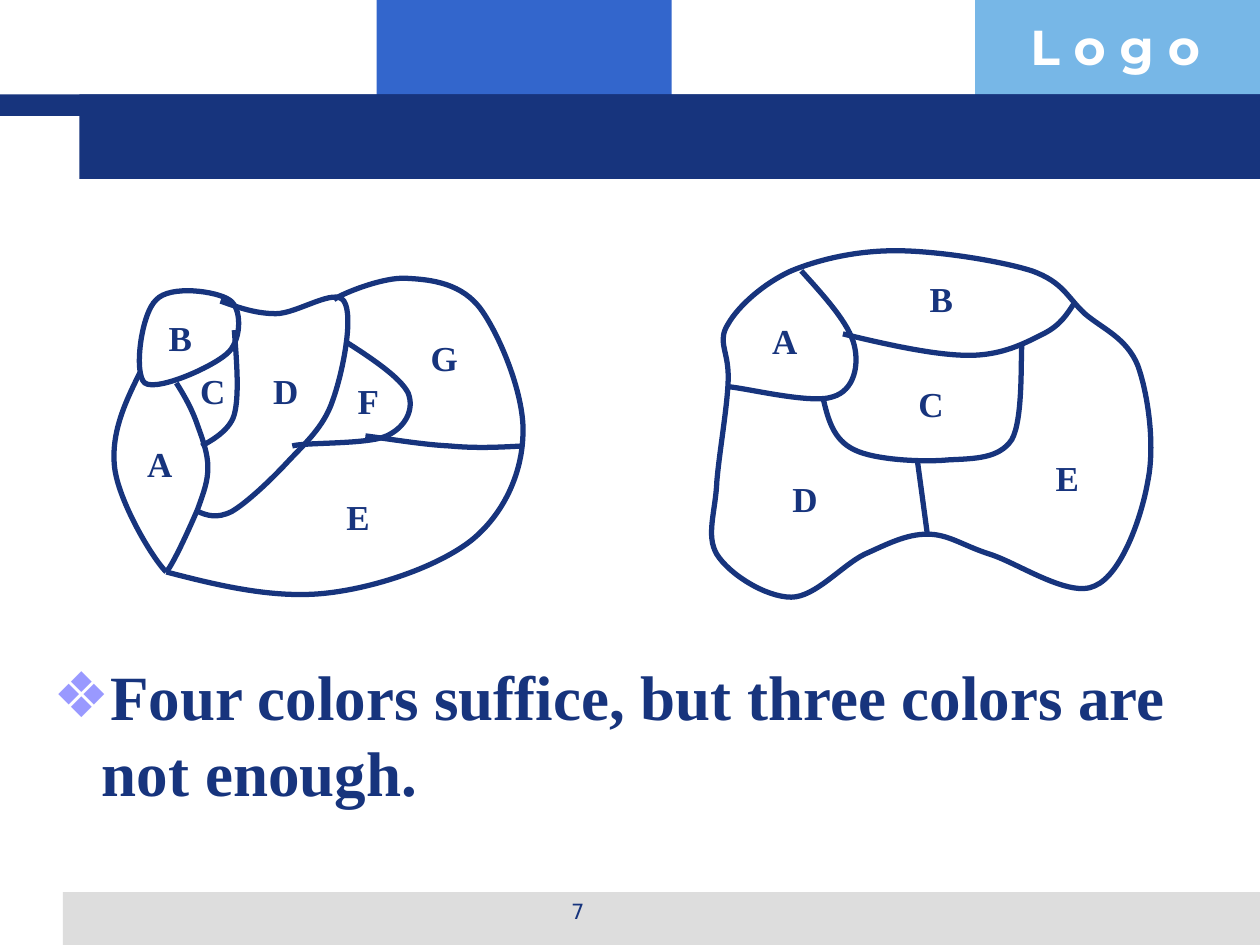
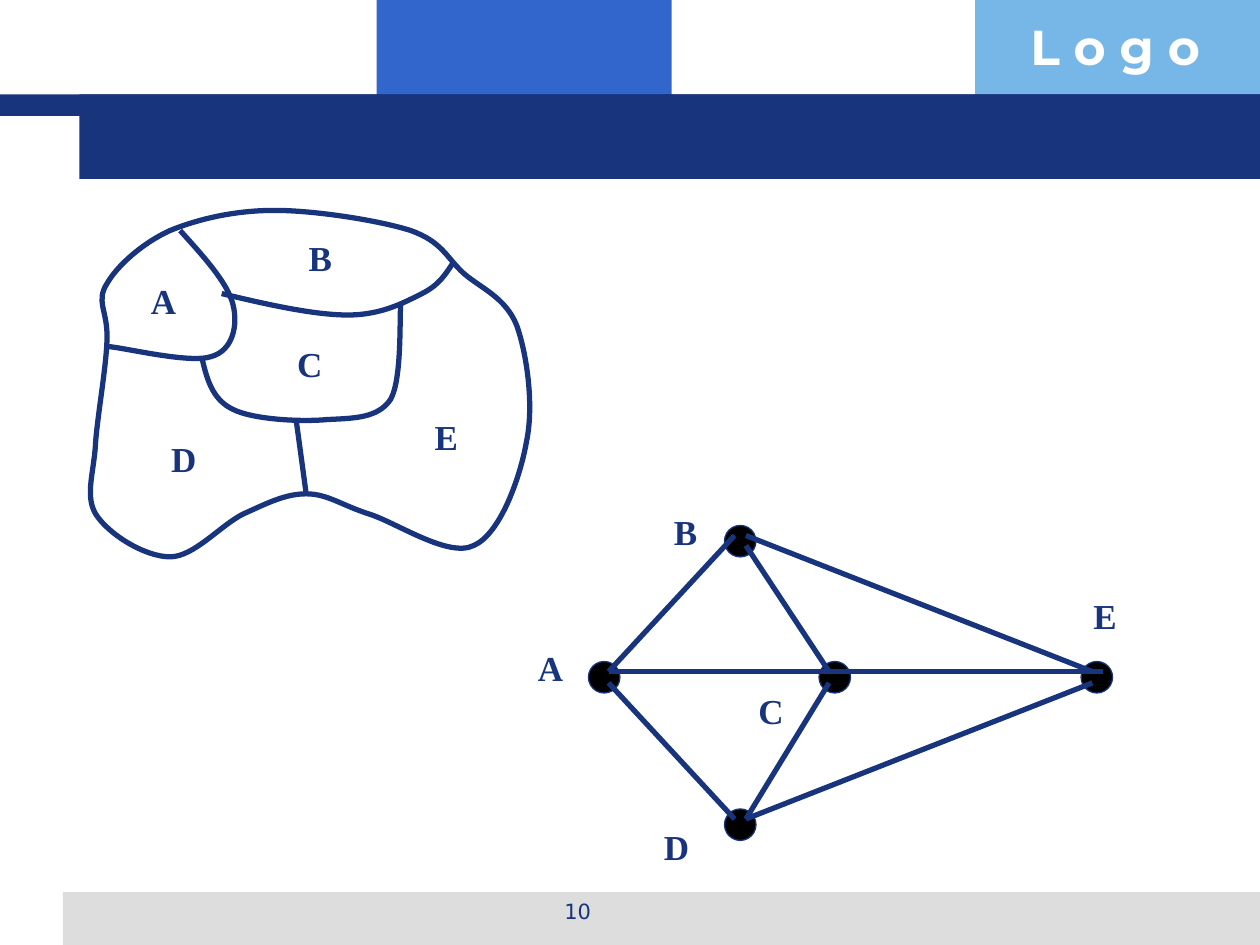
from lxml import etree
from pptx import Presentation
from pptx.dml.color import RGBColor
from pptx.enum.shapes import MSO_CONNECTOR, MSO_SHAPE
from pptx.enum.text import MSO_AUTO_SIZE, PP_ALIGN
from pptx.oxml.ns import qn
from pptx.util import Inches, Pt

RECT, OVAL = MSO_SHAPE.RECTANGLE, MSO_SHAPE.OVAL
LINE = MSO_CONNECTOR.STRAIGHT
GROW, FIXED = MSO_AUTO_SIZE.SHAPE_TO_FIT_TEXT, MSO_AUTO_SIZE.NONE
LEFT, CENTER = PP_ALIGN.LEFT, PP_ALIGN.CENTER

NAVY, BLUE, SKY, GRAY = "17347D", "3366CC", "77B7E7", "DDDDDD"
WHITE, BLACK, LILAC = "FFFFFF", "000000", "9999FF"
SERIF, SANS, BRAND = "Times New Roman", "DejaVu Sans", "Montserrat"

BANDS = [
    (2.99, 0, 2.34, 0.92, BLUE),
    (7.74, 0, 2.26, 0.92, SKY),
    (0.5, 7.08, 9.5, 0.42, GRAY),
    (0, 0.75, 10, 0.17, NAVY),
    (0.63, 0.75, 9.37, 0.67, NAVY),
]

# Borders: a start point, then two controls and an end for each curve
SEVEN = [
    [(1.15, 3.04), (1.06, 2.97), (1.12, 2.49), (1.24, 2.38),
     (1.35, 2.26), (1.72, 2.31), (1.82, 2.38),
     (1.92, 2.44), (1.92, 2.68), (1.82, 2.79),
     (1.72, 2.9), (1.25, 3.11), (1.15, 3.04)],
    [(1.75, 2.39), (1.89, 2.44), (2.03, 2.49), (2.19, 2.49),
     (2.36, 2.49), (2.66, 2.28), (2.73, 2.39),
     (2.81, 2.51), (2.72, 2.96), (2.64, 3.18),
     (2.57, 3.39), (2.42, 3.52), (2.28, 3.67),
     (2.15, 3.81), (1.96, 3.99), (1.84, 4.06),
     (1.72, 4.12), (1.64, 4.09), (1.57, 4.06)],
    [(1.86, 2.62), (1.88, 2.88), (1.9, 3.14), (1.86, 3.29),
     (1.82, 3.44), (1.61, 3.53), (1.6, 3.54)],
    [(1.4, 3.04), (1.47, 3.15), (1.53, 3.26), (1.57, 3.38),
     (1.61, 3.49), (1.65, 3.6), (1.65, 3.71),
     (1.65, 3.82), (1.62, 3.9), (1.57, 4.04),
     (1.51, 4.18), (1.38, 4.47), (1.32, 4.54)],
    [(1.11, 2.96), (0.99, 3.2), (0.88, 3.44), (0.91, 3.71),
     (0.94, 3.97), (1.2, 4.42), (1.32, 4.54)],
    [(1.32, 4.54), (1.74, 4.65), (2.17, 4.75), (2.57, 4.71),
     (2.97, 4.67), (3.47, 4.5), (3.74, 4.29),
     (4, 4.08), (4.14, 3.76), (4.15, 3.46),
     (4.17, 3.15), (3.97, 2.67), (3.82, 2.46),
     (3.67, 2.25), (3.43, 2.22), (3.24, 2.21),
     (3.04, 2.19), (2.67, 2.35), (2.65, 2.38)],
    [(2.74, 2.71), (2.96, 2.85), (3.18, 3), (3.24, 3.12),
     (3.29, 3.25), (3.22, 3.39), (3.07, 3.46),
     (2.92, 3.53), (2.42, 3.51), (2.32, 3.54)],
    [(2.9, 3.46), (3.13, 3.49), (3.36, 3.53), (3.57, 3.54),
     (3.78, 3.56), (3.97, 3.55), (4.15, 3.54)],
]
SEVEN_TAGS = {"A": (1.07, 3.46), "B": (1.24, 2.46), "C": (1.49, 2.88),
              "D": (2.07, 2.88), "F": (2.74, 2.96), "G": (3.32, 2.62),
              "E": (2.65, 3.88)}

FIVE = [
    [(5.78, 2.57), (5.86, 2.43), (6.06, 2.25), (6.28, 2.15),
     (6.5, 2.06), (6.79, 1.99), (7.11, 1.99),
     (7.43, 1.99), (7.94, 2.07), (8.19, 2.15),
     (8.44, 2.24), (8.47, 2.36), (8.61, 2.49),
     (8.75, 2.61), (8.94, 2.68), (9.03, 2.9),
     (9.11, 3.12), (9.17, 3.53), (9.11, 3.82),
     (9.06, 4.11), (8.9, 4.56), (8.69, 4.65),
     (8.49, 4.75), (8.08, 4.47), (7.86, 4.4),
     (7.64, 4.33), (7.53, 4.24), (7.36, 4.24),
     (7.19, 4.24), (7.04, 4.32), (6.86, 4.4),
     (6.68, 4.49), (6.47, 4.74), (6.28, 4.74),
     (6.08, 4.74), (5.79, 4.56), (5.69, 4.4),
     (5.6, 4.25), (5.68, 4.06), (5.69, 3.82),
     (5.71, 3.58), (5.78, 3.19), (5.78, 2.99),
     (5.78, 2.78), (5.69, 2.71), (5.78, 2.57)],
    [(6.36, 2.15), (6.55, 2.36), (6.74, 2.57), (6.78, 2.74),
     (6.82, 2.9), (6.78, 3.1), (6.61, 3.15),
     (6.44, 3.21), (5.92, 3.08), (5.78, 3.07)],
    [(6.53, 3.15), (6.57, 3.32), (6.61, 3.49), (6.78, 3.57),
     (6.94, 3.65), (7.32, 3.67), (7.53, 3.65),
     (7.74, 3.64), (7.93, 3.64), (8.03, 3.49),
     (8.12, 3.33), (8.1, 2.86), (8.11, 2.74)],
    [(6.69, 2.65), (7.06, 2.74), (7.43, 2.82), (7.69, 2.82),
     (7.96, 2.82), (8.14, 2.72), (8.28, 2.65),
     (8.42, 2.58), (8.47, 2.49), (8.53, 2.4)],
    [(7.28, 3.65), (7.28, 3.65), (7.32, 3.94), (7.36, 4.24)],
]
FIVE_TAGS = {"A": (6.03, 2.49), "B": (7.28, 2.15), "C": (7.19, 2.99),
             "D": (6.19, 3.74), "E": (8.28, 3.57)}

# Graph: one node for each region, one edge for each shared border
NODES = [(5.75, 4.17), (4.67, 5.25), (6.5, 5.25), (5.75, 6.42), (8.58, 5.25)]
EDGES = [
    ((6.58, 5.33), (5.92, 4.33)),
    ((8.67, 5.33), (5.92, 4.25)),
    ((4.83, 5.33), (5.83, 4.25)),
    ((5.83, 6.5), (4.83, 5.42)),
    ((8.67, 5.42), (5.92, 6.5)),
    ((5.92, 6.5), (6.58, 5.42)),
    ((8.75, 5.33), (4.83, 5.33)),
]
GRAPH_TAGS = {"A": (4.17, 5.08), "C": (5.92, 5.42), "B": (5.25, 4),
              "E": (8.58, 4.67), "D": (5.17, 6.5)}
WIDTHS = {"B": 0.39, "E": 0.39, "F": 0.37, "G": 0.42}


def color(code):
    return RGBColor.from_string(code)


def bend(item):
    """Turn every three line segments of a freeform into one cubic curve."""
    lines = list(item._element.iter(qn("a:lnTo")))
    for first, second, third in zip(lines[::3], lines[1::3], lines[2::3]):
        first.tag = qn("a:cubicBezTo")
        for extra in (second, third):
            first.append(extra[0])
            extra.getparent().remove(extra)


class Deck:
    def __init__(self):
        self.prs = Presentation()
        self.prs.slide_width, self.prs.slide_height = Inches(10), Inches(7.5)
        self.shapes = None

    def page(self, number):
        """Start a slide with its bands, corner word and page number."""
        slide = self.prs.slides.add_slide(self.prs.slide_layouts[6])
        self.shapes = slide.shapes
        for x, y, w, h, fill in BANDS:
            self.shape(RECT, x, y, w, h, fill)
        self.text("L o g o", 8.08, 0.08, 1.93, 0.57, size=28, font=BRAND,
                  ink=WHITE, fit=GROW)
        self.text(str(number), 3.42, 7.08, 2.33, 0.35, size=12, font=SANS,
                  bold=False, align=CENTER)

    def stroke(self, item, width=3):
        item.line.color.rgb = color(NAVY)
        item.line.width = Pt(width)

    def shape(self, kind, x, y, w, h, fill, width=0):
        item = self.shapes.add_shape(kind, Inches(x), Inches(y),
                                     Inches(w), Inches(h))
        item.shadow.inherit = False
        item.fill.solid()
        item.fill.fore_color.rgb = color(fill)
        if width:
            self.stroke(item, width)
        else:
            item.line.fill.background()

    def text(self, words, x, y, w, h, size=20, font=SERIF, ink=NAVY,
             bold=True, align=LEFT, wrap=True, fit=FIXED, mark=None):
        box = self.shapes.add_textbox(Inches(x), Inches(y),
                                      Inches(w), Inches(h))
        frame = box.text_frame
        frame.word_wrap, frame.auto_size = wrap, fit
        para = frame.paragraphs[0]
        para.alignment = align
        if mark:
            self.bullet(para, mark)
        run = para.add_run()
        run.text = words
        run.font.name, run.font.size, run.font.bold = font, Pt(size), bold
        run.font.color.rgb = color(ink)

    def bullet(self, para, mark):
        props = para._p.get_or_add_pPr()
        props.set("marL", str(Inches(0.38)))
        props.set("indent", str(-Inches(0.38)))
        tint = etree.SubElement(props, qn("a:buClr"))
        etree.SubElement(tint, qn("a:srgbClr"), val=LILAC)
        etree.SubElement(props, qn("a:buFont"), typeface=SANS)
        etree.SubElement(props, qn("a:buChar"), char=mark)

    def tags(self, spots, dx=0, dy=0):
        for name, (x, y) in spots.items():
            self.text(name, x + dx, y + dy, WIDTHS.get(name, 0.4), 0.43,
                      wrap=False, fit=GROW)

    def curve(self, points, dx=0, dy=0):
        dots = [(Inches(x + dx), Inches(y + dy)) for x, y in points]
        pen = self.shapes.build_freeform(*dots[0])
        pen.add_line_segments(dots[1:], close=points[0] == points[-1])
        item = pen.convert_to_shape()
        bend(item)
        item.shadow.inherit = False
        item.fill.background()
        self.stroke(item)

    def line(self, start, end):
        ends = [Inches(n) for n in start + end]
        item = self.shapes.add_connector(LINE, *ends)
        self.stroke(item)
        etree.SubElement(item._element.spPr, qn("a:effectLst"))

    def plan(self, borders, spots, dx=0, dy=0):
        """Draw a map with its region letters, moved by dx and dy."""
        for points in borders:
            self.curve(points, dx, dy)
        self.tags(spots, dx, dy)


def main():
    deck = Deck()

    # Two maps and the claim
    deck.page(7)
    deck.plan(SEVEN, SEVEN_TAGS)
    deck.plan(FIVE, FIVE_TAGS)
    deck.text("Four colors suffice, but three colors are not enough.",
              0.33, 5.17, 9.25, 1.67, size=36, mark="❖")

    # Map and its graph
    deck.page(10)
    deck.plan(FIVE, FIVE_TAGS, -4.93, -0.32)
    for x, y in NODES:
        deck.shape(OVAL, x, y, 0.25, 0.25, BLACK, 0.75)
    for start, end in EDGES:
        deck.line(start, end)
    deck.tags(GRAPH_TAGS)

    deck.prs.save("out.pptx")


if __name__ == "__main__":
    main()
